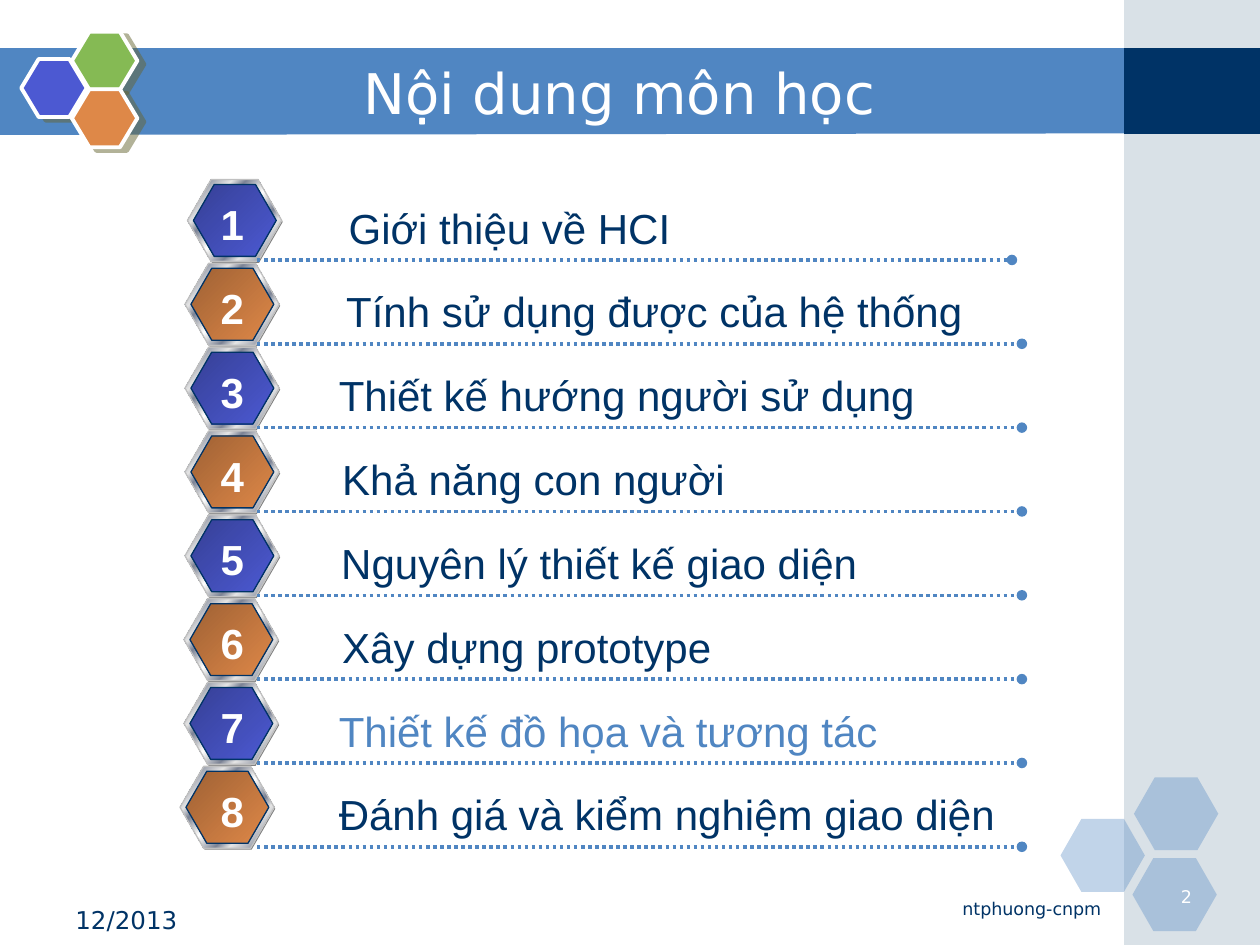
from dataclasses import dataclass

from pptx import Presentation
from pptx.dml.color import RGBColor
from pptx.enum.dml import MSO_LINE_DASH_STYLE as DASH
from pptx.enum.shapes import MSO_CONNECTOR as CONN, MSO_SHAPE as SHAPE
from pptx.enum.text import MSO_ANCHOR as ANCHOR, MSO_AUTO_SIZE as AUTO, PP_ALIGN as ALIGN
from pptx.oxml.ns import qn
from pptx.util import Cm, Pt
from lxml.etree import SubElement


@dataclass(frozen=True)
class Theme:
    navy: str = "003366"
    blue: str = "5086C2"
    pale: str = "A0B5C4"
    white: str = "FFFFFF"
    indigo: str = "4C59D2"
    green: str = "85BA54"
    orange: str = "DE8848"
    gray: str = "808080"
    silver: str = "C0C0C0"
    shade: str = "666633"
    indigo_fade: tuple = ((0, "364096"), (100, "4C59D2"))
    orange_fade: tuple = ((0, "9F6134"), (100, "DE8848"))
    chrome: tuple = ((0, "E6E6E6"), (8, "7D8496"), (26, "E6E6E6"), (34, "7D8496"),
                     (46, "E6E6E6"), (50, "FFFFFF"), (54, "E6E6E6"), (66, "7D8496"),
                     (74, "E6E6E6"), (93, "7D8496"), (100, "E6E6E6"))
    body_font: str = "Arial"
    head_font: str = "DejaVu Sans"
    title: int = 32
    body: int = 24
    date: int = 14
    small: int = 10


T = Theme()
PITCH = 1.69  # distance between list rows, cm

# Text, its left and width, left of the badge (cm), text colour
ROWS = [
    ("Giới thiệu về HCI", 6.78, 7.06, 3.78, T.navy),
    ("Tính sử dụng được của hệ thống", 6.73, 13.06, 3.73, T.navy),
    ("Thiết kế hướng người sử dụng", 6.58, 12.24, 3.73, T.navy),
    ("Khả năng con người", 6.65, 8.31, 3.73, T.navy),
    ("Nguyên lý thiết kế giao diện", 6.63, 11.02, 3.73, T.navy),
    ("Xây dựng prototype", 6.65, 8.26, 3.71, T.navy),
    ("Thiết kế đồ họa và tương tác", 6.58, 11.48, 3.71, T.blue),
    ("Đánh giá và kiểm nghiệm giao diện", 6.58, 13.89, 3.63, T.navy),
]


def rgb(color):
    return RGBColor.from_string(color)


def paint(sp, fill, line=None, width=0.75, alpha=None):
    """Fill with one colour or a tuple of gradient stops; outline if asked."""
    sp.shadow.inherit = False
    if isinstance(fill, tuple):
        sp.fill.gradient()
        sp.fill.gradient_angle = 315
        stops = sp._element.spPr.find(".//" + qn("a:gsLst"))
        stops.clear()
        for pos, color in fill:
            stop = SubElement(stops, qn("a:gs"), pos=str(pos * 1000))
            SubElement(stop, qn("a:srgbClr"), val=color)
    else:
        sp.fill.solid()
        sp.fill.fore_color.rgb = rgb(fill)
    if alpha:
        color = sp._element.spPr.find(".//" + qn("a:srgbClr"))
        SubElement(color, qn("a:alpha"), val=str(alpha * 1000))
    if line:
        sp.line.color.rgb = rgb(line)
        sp.line.width = Pt(width)
    else:
        sp.line.fill.background()


def add_block(shapes, kind, x, y, w, h, fill, adj=None, **style):
    sp = shapes.add_shape(kind, Cm(x), Cm(y), Cm(w), Cm(h))
    if adj:
        sp.adjustments[0] = adj
    paint(sp, fill, **style)
    return sp


def add_drop_shadow(sp):
    effects = sp._element.spPr.find(qn("a:effectLst"))
    shadow = SubElement(effects, qn("a:outerShdw"), blurRad="0", dist=str(Pt(4.5)),
                        dir=str(27 * 60000), algn="ctr", rotWithShape="0")
    color = SubElement(shadow, qn("a:srgbClr"), val=T.shade)
    SubElement(color, qn("a:alpha"), val="50000")


def add_text(s, text, x, y, w, h, size, color, font=T.body_font, align=ALIGN.LEFT,
             bold=False, wrap=True, anchor=ANCHOR.TOP):
    tf = s.shapes.add_textbox(Cm(x), Cm(y), Cm(w), Cm(h)).text_frame
    tf.text = text
    tf.word_wrap = wrap
    tf.auto_size = AUTO.NONE if wrap else AUTO.SHAPE_TO_FIT_TEXT
    tf.vertical_anchor = anchor
    p = tf.paragraphs[0]
    p.alignment = align
    f = p.runs[0].font
    f.name, f.size, f.bold = font, Pt(size), bold
    f.color.rgb = rgb(color)


def add_dotted_line(s, x1, x2, y):
    ln = s.shapes.add_connector(CONN.STRAIGHT, Cm(x1), Cm(y), Cm(x2), Cm(y))
    ln.line.color.rgb = rgb(T.blue)
    ln.line.width = Pt(2)
    ln.line.dash_style = DASH.ROUND_DOT
    SubElement(ln.line._get_or_add_ln(), qn("a:tailEnd"), type="oval")
    SubElement(ln._element.spPr, qn("a:effectLst"))


def add_badge(s, x, y, fade):
    """Numbered hexagon: dark edge, chrome rim and coloured face."""
    shapes = s.shapes.add_group_shape().shapes
    add_block(shapes, SHAPE.HEXAGON, x + 0.02, y + 0.03, 1.9, 1.65, T.gray, 0.289)
    add_block(shapes, SHAPE.HEXAGON, x, y, 1.9, 1.65, T.chrome, 0.289, line=T.silver)
    add_block(shapes, SHAPE.HEXAGON, x + 0.12, y + 0.1, 1.67, 1.45, fade, 0.289, line=T.navy)


def add_background(s):
    # Title band and side column
    band = s.shapes.build_freeform(Cm(-0.03), Cm(0.97), scale=1.0)
    band.add_line_segments([(Cm(22.73), Cm(0.97)), (Cm(22.73), Cm(2.69)),
                            (Cm(-0.03), Cm(2.72))], close=True)
    paint(band.convert_to_shape(), T.blue)
    add_block(s.shapes, SHAPE.RECTANGLE, 22.66, 0, 2.74, 19.05, T.pale, alpha=40)
    add_block(s.shapes, SHAPE.RECTANGLE, 22.66, 0.97, 2.74, 1.73, T.navy)

    # Translucent hexagons at the lower right
    for x, y in ((21.38, 16.51), (22.86, 15.67), (22.83, 17.3)):
        add_block(s.shapes, SHAPE.HEXAGON, x, y, 1.7, 1.47, T.blue, 0.286, alpha=35)

    # Hexagon cluster at the upper left
    cluster = s.shapes.add_group_shape().shapes
    for x, y, color in ((0.43, 1.19, T.indigo), (1.45, 0.64, T.green), (1.45, 1.8, T.orange)):
        add_drop_shadow(add_block(cluster, SHAPE.HEXAGON, x, y, 1.32, 1.17, color, 0.3,
                                  line=T.white, width=2.25))


def add_row(s, i, text, left, width, badge_left, color):
    drop = i * PITCH
    add_badge(s, badge_left, 3.62 + drop, T.orange_fade if i % 2 else T.indigo_fade)
    add_dotted_line(s, 5.18, 20.6 if i else 20.4, 5.24 + drop)
    add_text(s, text, left, 3.95 + drop, width, 1.27, T.body, color, wrap=False)
    add_text(s, str(i + 1), 4.19, 3.88 + drop, 0.99, 1.27, T.body, T.white,
             align=ALIGN.CENTER, bold=True, wrap=False)


def main():
    prs = Presentation()
    prs.slide_width, prs.slide_height = Cm(25.4), Cm(19.05)
    s = prs.slides.add_slide(prs.slide_layouts[6])
    add_background(s)

    # Title and footer
    add_text(s, "Nội dung môn học", 3.18, 1.07, 18.62, 1.57, T.title, T.white,
             T.head_font, ALIGN.CENTER, anchor=ANCHOR.MIDDLE)
    add_text(s, "12/2013", 1.27, 18.11, 5.92, 0.69, T.date, T.navy, T.head_font)
    add_text(s, "2", 23.01, 17.73, 1.27, 0.64, T.small, T.white, T.head_font, ALIGN.RIGHT)
    add_text(s, "ntphuong-cnpm", 14.4, 17.98, 8.05, 0.66, T.small, T.navy,
             T.head_font, ALIGN.RIGHT)

    # Course contents
    for i, row in enumerate(ROWS):
        add_row(s, i, *row)
    prs.save("out.pptx")


if __name__ == "__main__":
    main()
